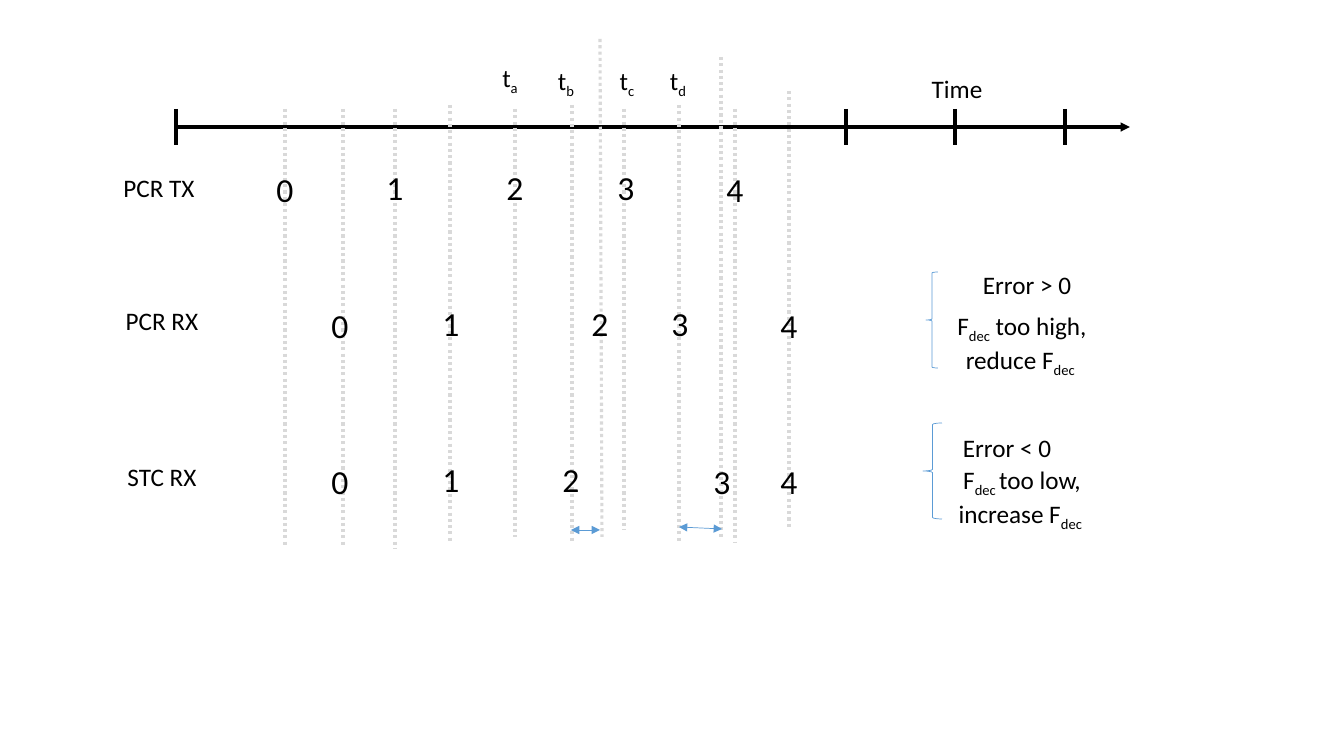
from lxml.etree import SubElement
from pptx import Presentation
from pptx.dml.color import RGBColor
from pptx.enum.dml import MSO_LINE
from pptx.enum.shapes import MSO_CONNECTOR, MSO_SHAPE
from pptx.enum.text import PP_ALIGN
from pptx.oxml.ns import qn
from pptx.util import Emu, Pt

# Content: lengths in px, 100.8 px to the inch; text is placed by its centre
SLIDE_SIZE = (1344, 756)
BLACK, GREY, BLUE = "000000", "D9D9D9", "5B9BD5"
FONT = "Calibri"

TIME_AXIS = (178, 127, 1130, 127)
TICKS = [176, 846, 955, 1065]
TICK_TOP, TICK_BOTTOM = 109, 145

# top x, top y, bottom x, bottom y
GUIDES = [
    (285, 109, 285, 546), (395, 109, 395, 548), (515, 109, 515, 537),
    (624, 109, 624, 530), (735, 109, 735, 543), (600, 39, 602, 537),
    (721, 57, 721, 537), (343, 109, 343, 546), (450, 105, 450, 543),
    (572, 105, 572, 543), (679, 105, 679, 543), (789, 91, 789, 529),
]

# letter, centre, top, width
INSTANTS = [("a", 510, 57, 46), ("b", 566, 60, 39),
            ("c", 627, 60, 54), ("d", 678, 60, 48)]

# label, label centre, label top, top of the digits, (centre, drop) of 0 to 4
CLOCKS = [
    ("PCR TX", 159, 167, 162, [(285, 2), (395, 0), (515, 0), (626, 0), (735, 2)]),
    ("PCR RX", 162, 300, 298, [(340, 2), (451, 0), (600, 0), (680, 0), (789, 2)]),
    ("STC RX", 162, 456, 454, [(340, 2), (451, 0), (571, 0), (722, 2), (789, 2)]),
]

ERROR_SPANS = [(571, 530, 600, 530), (679, 527, 722, 529)]

# heading, its centre and top, note, its top, brace box; "_" starts a subscript
ERRORS = [
    ("Error > 0", 1027, 264, ["F", "_dec", " too high, reduce F", "_dec "], 305,
     (926, 272, 12, 96)),
    ("Error < 0", 1007, 427, ["F", "_dec ", "too low, increase F", "_dec "], 459,
     (923, 423, 19, 96)),
]
NOTE_CENTRE, NOTE_WIDTH = 1022, 193
LABEL_WIDTH = 135


def px(*lengths):
    return [Emu(round(length * 914400 / 100.8)) for length in lengths]


def rgb(colour):
    return RGBColor.from_string(colour)


prs = Presentation()
prs.slide_width, prs.slide_height = px(*SLIDE_SIZE)
slide = prs.slides.add_slide(prs.slide_layouts[6])


def add_line(ends, colour, weight, dash=None, arrows=()):
    connector = slide.shapes.add_connector(MSO_CONNECTOR.STRAIGHT, *px(*ends))
    connector.line.color.rgb = rgb(colour)
    connector.line.width = Pt(weight)
    if dash:
        connector.line.dash_style = dash
    for end in arrows:
        SubElement(connector.line._get_or_add_ln(), qn(f"a:{end}")).set("type", "triangle")
    SubElement(connector._element.spPr, qn("a:effectLst"))


def add_text(runs, centre, top, width=LABEL_WIDTH, height=40, size=18):
    box = slide.shapes.add_textbox(*px(centre - width / 2, top, width, height))
    box.text_frame.word_wrap = True
    paragraph = box.text_frame.paragraphs[0]
    paragraph.alignment = PP_ALIGN.CENTER
    for text in runs:
        run = paragraph.add_run()
        run.text = text.removeprefix("_")
        run.font.name, run.font.size = FONT, Pt(size)
        run.font.color.rgb = rgb(BLACK)
        if text.startswith("_"):
            run.font._element.set("baseline", "-25000")


# Time axis and ticks
add_line(TIME_AXIS, BLACK, 2.25, arrows=["tailEnd"])
for x in TICKS:
    add_line((x, TICK_TOP, x, TICK_BOTTOM), BLACK, 2.25)
add_text(["Time"], 957, 68, 345)

# Dotted guides and the instants above them
for guide in GUIDES:
    add_line(guide, GREY, 2.25, MSO_LINE.ROUND_DOT)
for letter, centre, top, width in INSTANTS:
    add_text(["t", "_" + letter], centre, top, width)

# Clock rows
for label, label_centre, label_top, digit_top, digits in CLOCKS:
    add_text([label], label_centre, label_top)
    for value, (centre, drop) in enumerate(digits):
        add_text([str(value)], centre, digit_top + drop, height=50, size=24)

# Error spans
for span in ERROR_SPANS:
    add_line(span, BLUE, 0.5, arrows=["headEnd", "tailEnd"])

# Error notes with braces
for heading, centre, top, note, note_top, brace_box in ERRORS:
    add_text([heading], centre, top)
    add_text(note, NOTE_CENTRE, note_top, NOTE_WIDTH, 72)
    brace = slide.shapes.add_shape(MSO_SHAPE.LEFT_BRACE, *px(*brace_box))
    brace.shadow.inherit = False
    brace.fill.background()
    brace.line.color.rgb = rgb(BLUE)
    brace.line.width = Pt(0.5)

prs.save("out.pptx")
